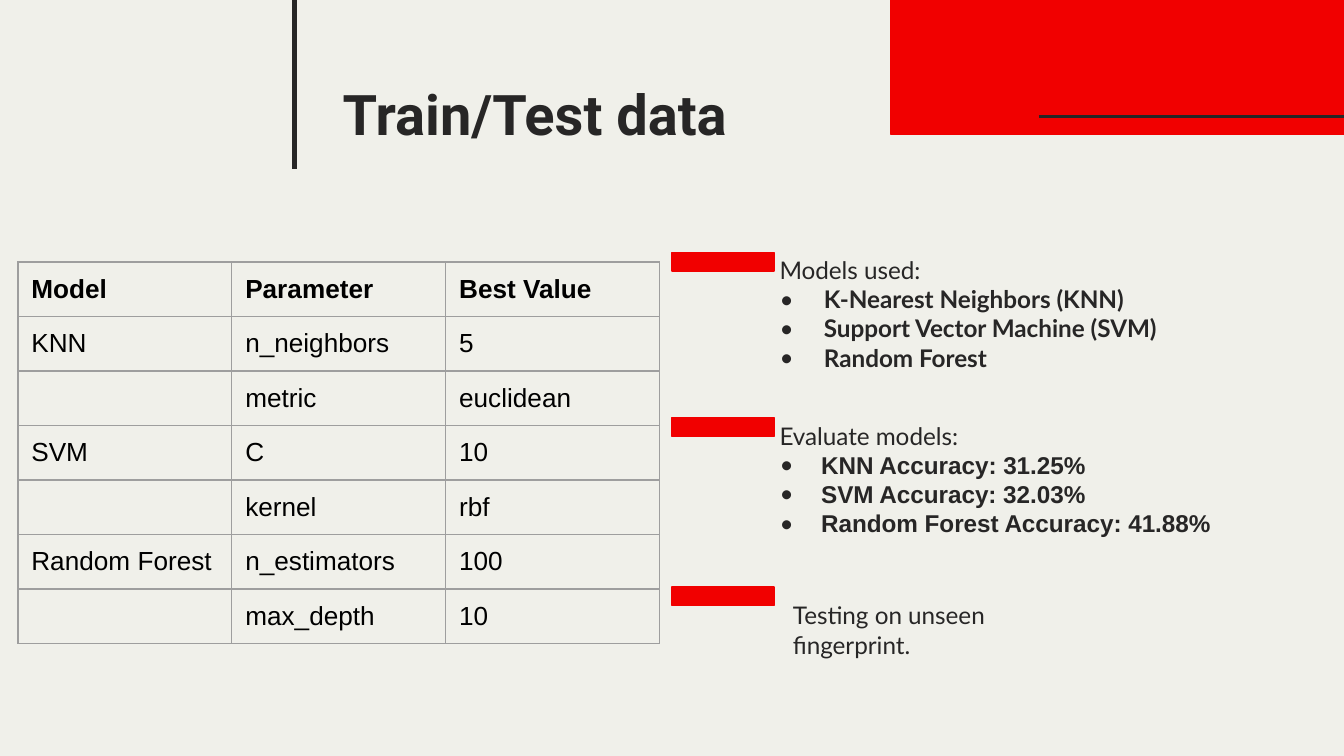
import pptx
import pptx.util
import pptx.oxml
import pptx.oxml.ns
import pptx.dml.color
import pptx.enum.shapes
import pptx.enum.text

Pt = pptx.util.Pt
RGBColor = pptx.dml.color.RGBColor
qn = pptx.oxml.ns.qn
NAMESPACE = pptx.oxml.ns.nsdecls("a")

RED = RGBColor(0xF1, 0x00, 0x00)
DARK = RGBColor(0x27, 0x26, 0x26)
BLACK = RGBColor(0x00, 0x00, 0x00)
GREY = RGBColor(0x9E, 0x9E, 0x9E)
PAPER = RGBColor(0xF0, 0xF0, 0xEA)


def format_font(font, color, **values):
    for name, value in values.items():
        setattr(font, name, value)
    font.color.rgb = color


def format_box(box, left, top, width, height):
    place = {"left": left, "top": top, "width": width, "height": height}
    for name, value in place.items():
        setattr(box, name, Pt(value))
    frame_format = {
        "word_wrap": True,
        "auto_size": pptx.enum.text.MSO_AUTO_SIZE.NONE,
        "vertical_anchor": pptx.enum.text.MSO_ANCHOR.TOP,
    }
    for side in ("left", "right", "top", "bottom"):
        frame_format["margin_" + side] = Pt(7.2)
    for name, value in frame_format.items():
        setattr(box.text_frame, name, value)


deck = pptx.Presentation()
deck.slide_width = Pt(720)
deck.slide_height = Pt(405)
page = deck.slides.add_slide(deck.slide_layouts.get_by_name("Comparison"))
page.background.fill.solid()
page.background.fill.fore_color.rgb = PAPER
title, *bodies = page.placeholders
spare = bodies.pop()
spare.element.getparent().remove(spare.element)

banner = (477.4, -0.7, 242.6, 72.7)
bars = [(360, top, 54.7, 10) for top in (135.2, 223.7, 314.4)]
for place in [banner, *bars]:
    block = page.shapes.add_shape(
        pptx.enum.shapes.MSO_SHAPE.RECTANGLE, *[Pt(value) for value in place]
    )
    block.shadow.inherit = False
    block.fill.solid()
    block.fill.fore_color.rgb = RED
    block.line.color.rgb = RED
    block.line.width = Pt(0.75)

for placeholder in [title, *bodies]:
    placeholder.element.getparent().append(placeholder.element)

format_box(title, 176.4, 35.3, 486.7, 45.4)
title.text_frame.text = "Train/Test data"
para = title.text_frame.paragraphs[0]
para.alignment = pptx.enum.text.PP_ALIGN.LEFT
format_font(para.runs[0].font, DARK, name="Roboto", size=Pt(30), bold=True)

notes = [
    ((398.2, 129.6, 290.2, 72), "Lato", 36, -23.8, "Models used:",
     ["K-Nearest Neighbors (KNN)", "Support Vector Machine (SVM)", "Random Forest"]),
    ((398.2, 218.2, 319.7, 72), "Arial", 34.5, -22.3, "Evaluate models:",
     ["KNN Accuracy: 31.25%", "SVM Accuracy: 32.03%", "Random Forest Accuracy: 41.88%"]),
    ((405.4, 314.6, 156.2, 45.4), "Lato", 0, 0, "Testing on unseen fingerprint.", []),
]
for box, (place, item_font, margin, indent, heading, items) in zip(bodies, notes):
    format_box(box, *place)
    box.text_frame.text = "\n".join([heading, *items])
    for index, para in enumerate(box.text_frame.paragraphs):
        is_item = index > 0
        properties = para._p.get_or_add_pPr()
        properties.set("marL", str(Pt(margin if is_item else 12.2)))
        properties.set("indent", str(Pt(indent if is_item else 0)))
        para.alignment = pptx.enum.text.PP_ALIGN.LEFT
        para.space_before = para.space_after = Pt(0)
        bullet = [f"<a:buNone {NAMESPACE}/>"]
        if is_item:
            bullet = [
                f'<a:buClr {NAMESPACE}><a:srgbClr val="{DARK}"/></a:buClr>',
                f'<a:buFont {NAMESPACE} typeface="Lato"/>',
                f'<a:buChar {NAMESPACE} char="•"/>',
            ]
        for markup in bullet:
            properties.append(pptx.oxml.parse_xml(markup))
        format_font(para.runs[0].font, DARK, name=item_font if is_item else "Lato",
                    size=Pt(13), bold=is_item)

for start_x, start_y, end_x, end_y, weight in [
    (157.7, -0.7, 157.7, 90.7, 3),
    (556.6, 62.6, 720, 62.6, 1.5),
]:
    rule = page.shapes.add_connector(
        pptx.enum.shapes.MSO_CONNECTOR.STRAIGHT,
        Pt(start_x), Pt(start_y), Pt(end_x), Pt(end_y),
    )
    rule.line.color.rgb = DARK
    rule.line.width = Pt(weight)
    rule.element.spPr.append(pptx.oxml.parse_xml(f"<a:effectLst {NAMESPACE}/>"))

parameters = [
    ("Model", "Parameter", "Best Value"),
    ("KNN", "n_neighbors", "5"),
    ("", "metric", "euclidean"),
    ("SVM", "C", "10"),
    ("", "kernel", "rbf"),
    ("Random Forest", "n_estimators", "100"),
    ("", "max_depth", "10"),
]
table = page.shapes.add_table(
    len(parameters), 3, Pt(9.6), Pt(140.4), Pt(343.8), Pt(204.4)
).table
table.first_row = False
table.horz_banding = False
for row_index, values in enumerate(parameters):
    for column_index, value in enumerate(values):
        cell = table.cell(row_index, column_index)
        cell.vertical_anchor = pptx.enum.text.MSO_ANCHOR.MIDDLE
        cell.fill.background()
        for position, side in enumerate(("lnL", "lnR", "lnT", "lnB")):
            border = pptx.oxml.parse_xml(
                f'<a:{side} {NAMESPACE} w="{Pt(0.75)}"><a:solidFill>'
                f'<a:srgbClr val="{GREY}"/></a:solidFill></a:{side}>'
            )
            cell._tc.get_or_add_tcPr().insert(position, border)
        cell.text = value
        for span in cell.text_frame.paragraphs[0].runs:
            format_font(span.font, BLACK, name="Arial", size=Pt(14), bold=row_index == 0)

deck.save("out.pptx")
